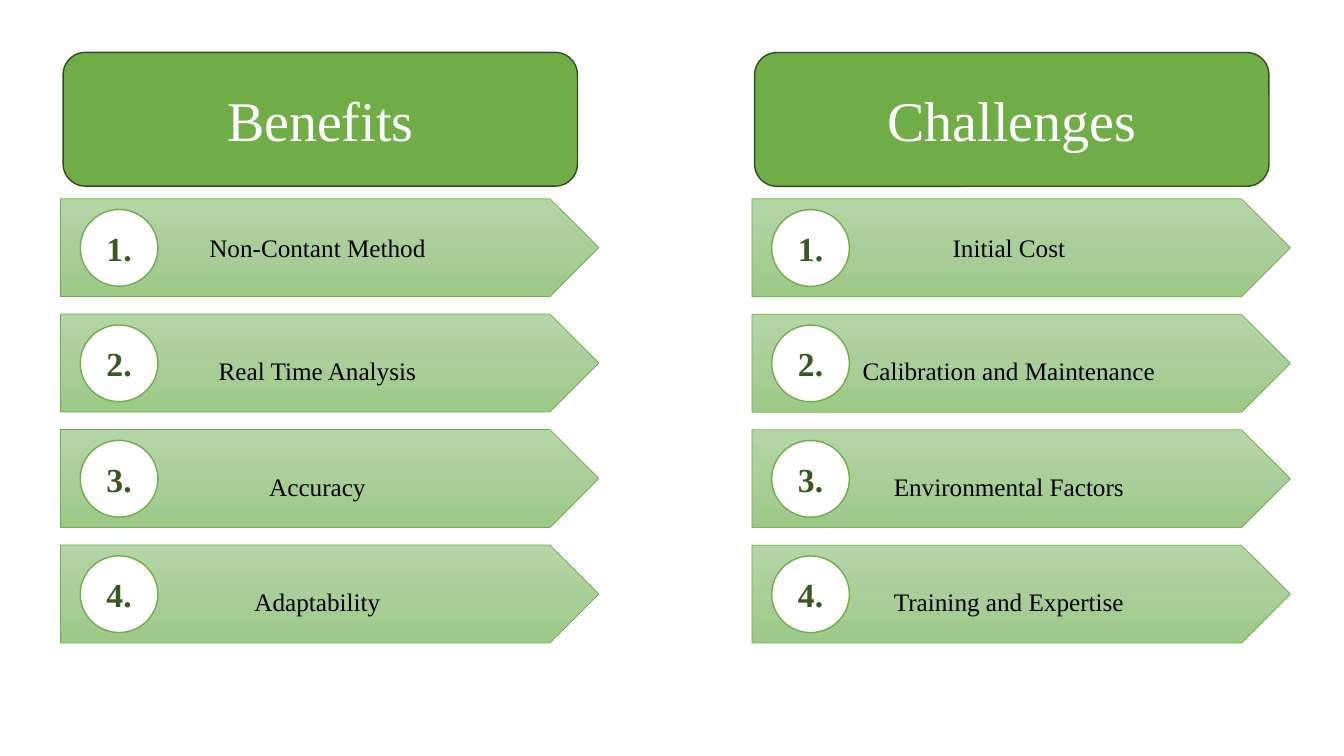
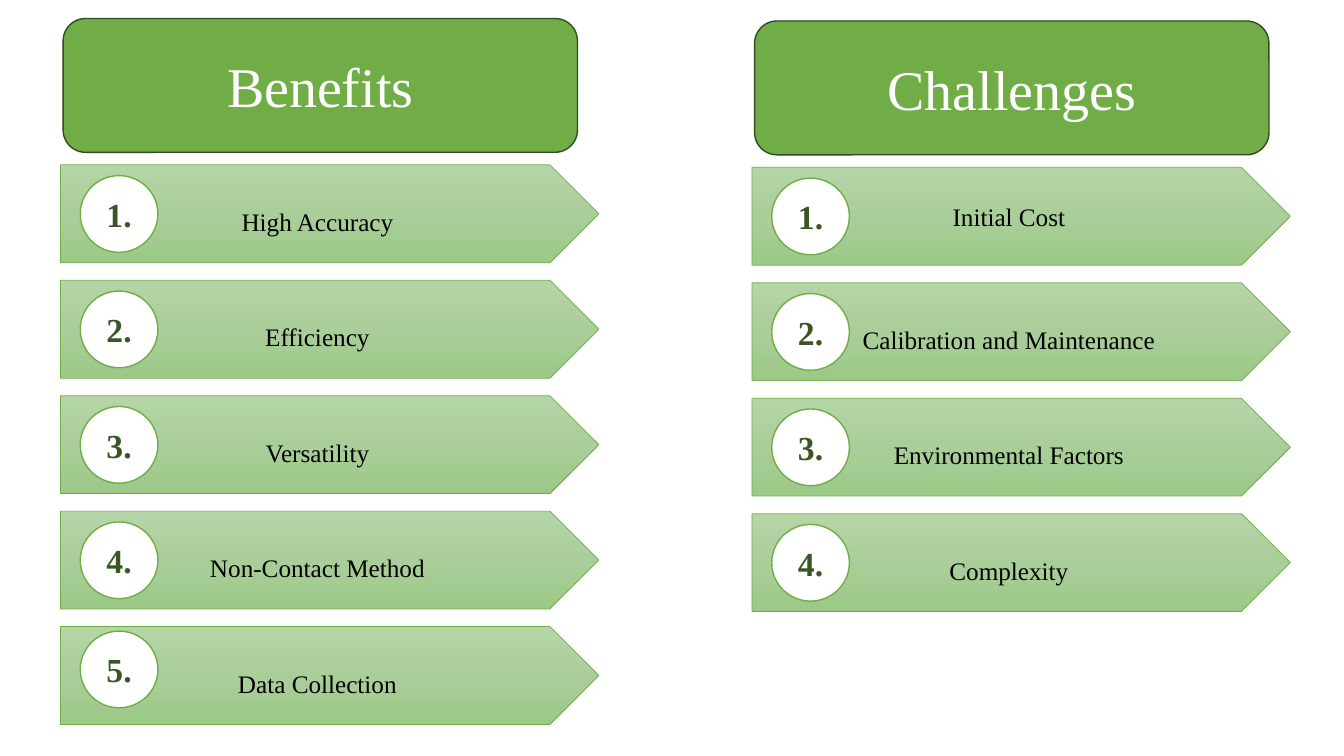
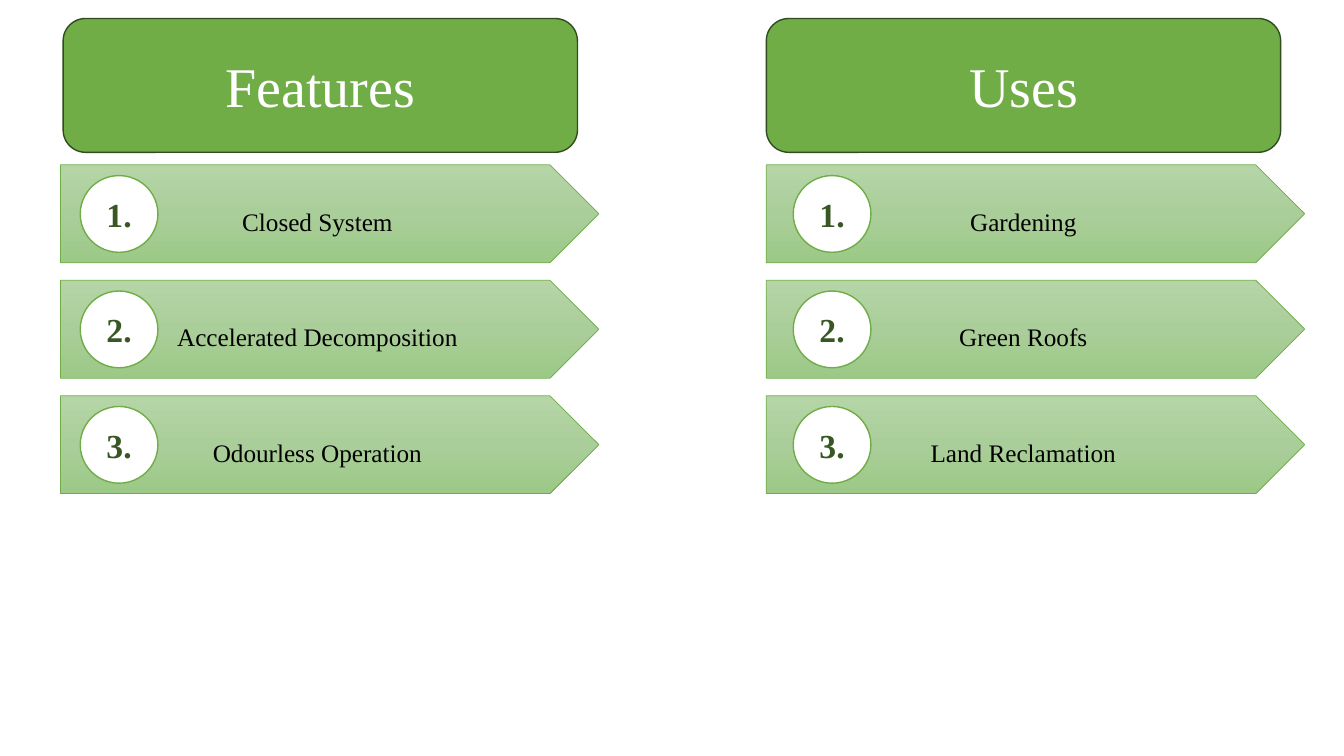
from copy import deepcopy
from dataclasses import dataclass

from pptx import Presentation
from pptx.dml.color import RGBColor
from pptx.enum.shapes import MSO_SHAPE as SHAPE
from pptx.enum.text import MSO_ANCHOR as ANCHOR, PP_ALIGN as ALIGN
from pptx.util import Inches, Pt


@dataclass(frozen=True)
class Theme:
    """Colours and type sizes."""
    font: str = "Times New Roman"
    green: str = "70AD47"
    dark_green: str = "385723"
    header_edge: str = "314C1F"
    bar_shades: tuple = ("B5D5A7", "AACE9A", "9CC987")
    white: str = "FFFFFF"
    black: str = "000000"
    header_size: int = 40
    badge_size: int = 24
    bar_size: int = 18


@dataclass(frozen=True)
class Column:
    """A headed list; places are percentages of the slide's size."""
    title: str
    items: tuple
    left: float = 4.5
    top: float = 2.45
    header_dx: float = 0.2
    badge_dx: float = 1.47
    last_badge_dy: float = 1.43
    first_spacing: float = 1.5


# Sizes and steps, as percentages of the slide's width and height
HEADER = (38.27, 17.7)
BAR = (40.06, 12.95)
BADGE = (5.78, 10.15)
BARS_DY = 19.35
BAR_STEP = 15.27
BADGE_DY = 1.43


def write(sp, text, *, font, size, color, bold=False, spacing=None):
    tf = sp.text_frame
    tf.word_wrap = True
    tf.vertical_anchor = ANCHOR.MIDDLE
    p = tf.paragraphs[0]
    p.alignment = ALIGN.CENTER
    if spacing:
        p.line_spacing = spacing
    r = p.add_run()
    r.text = text
    r.font.name = font
    r.font.size = Pt(size)
    r.font.bold = bold
    r.font.color.rgb = RGBColor.from_string(color)


class Deck:
    def __init__(self, theme):
        self.theme = theme
        self.prs = Presentation()
        self.prs.slide_width = Inches(13.33)
        self.prs.slide_height = Inches(7.5)
        self.slide = None

    def new_slide(self):
        self.slide = self.prs.slides.add_slide(self.prs.slide_layouts[6])

    def shape(self, kind, left, top, size, line, line_width, fill=None):
        w, h = self.prs.slide_width / 100, self.prs.slide_height / 100
        sp = self.slide.shapes.add_shape(
            kind, round(left * w), round(top * h),
            round(size[0] * w), round(size[1] * h))
        sp.shadow.inherit = False
        sp.line.color.rgb = RGBColor.from_string(line)
        sp.line.width = Pt(line_width)
        if fill:
            sp.fill.solid()
            sp.fill.fore_color.rgb = RGBColor.from_string(fill)
        return sp

    def header(self, left, top, text):
        t = self.theme
        sp = self.shape(SHAPE.ROUNDED_RECTANGLE, left, top, HEADER,
                        t.header_edge, 1, t.green)
        write(sp, text, font=t.font, size=t.header_size, color=t.white)

    def bar(self, left, top, text, spacing):
        t = self.theme
        sp = self.shape(SHAPE.PENTAGON, left, top, BAR, t.green, 0.5)
        sp.fill.gradient()
        sp.fill.gradient_angle = 270
        # The default gradient has two stops; add the middle one
        stops = sp._element.xpath(".//a:gsLst")[0]
        stops.insert(1, deepcopy(stops[0]))
        for i, (stop, shade) in enumerate(
                zip(sp.fill.gradient_stops, t.bar_shades)):
            stop.position = i / 2
            stop.color.rgb = RGBColor.from_string(shade)
        write(sp, text, font=t.font, size=t.bar_size, color=t.black,
              spacing=spacing)

    def badge(self, left, top, number):
        t = self.theme
        sp = self.shape(SHAPE.FLOWCHART_CONNECTOR, left, top, BADGE,
                        t.green, 1, t.white)
        write(sp, f"{number}.", font=t.font, size=t.badge_size,
              color=t.dark_green, bold=True)

    def column(self, col):
        self.header(col.left + col.header_dx, col.top, col.title)
        for i, item in enumerate(col.items):
            top = col.top + BARS_DY + i * BAR_STEP
            last = i == len(col.items) - 1
            self.bar(col.left, top, item, 1.5 if i else col.first_spacing)
            self.badge(col.left + col.badge_dx,
                       top + (col.last_badge_dy if last else BADGE_DY), i + 1)


SLIDES = (
    # Benefits and challenges, four each
    (Column("Benefits", ("Non-Contant Method", "Real Time Analysis",
                         "Accuracy", "Adaptability"),
            top=6.93, first_spacing=1),
     Column("Challenges", ("Initial Cost", "Calibration and Maintenance",
                           "Environmental Factors", "Training and Expertise"),
            left=55.95, top=6.95, first_spacing=1)),
    # Five benefits, four challenges
    (Column("Benefits", ("High Accuracy", "Efficiency", "Versatility",
                         "Non-Contact Method", "Data Collection"),
            last_badge_dy=0.6),
     Column("Challenges", ("Initial Cost", "Calibration and Maintenance",
                           "Environmental Factors", "Complexity"),
            left=55.95, top=2.78, first_spacing=1)),
    # Features and uses
    (Column("Features", ("Closed System", "Accelerated Decomposition",
                         "Odourless Operation")),
     Column("Uses", ("Gardening", "Green Roofs", "Land Reclamation"),
            left=57.02, header_dx=0, badge_dx=2)),
)


def main():
    deck = Deck(Theme())
    for columns in SLIDES:
        deck.new_slide()
        for col in columns:
            deck.column(col)
    deck.prs.save("out.pptx")


if __name__ == "__main__":
    main()
